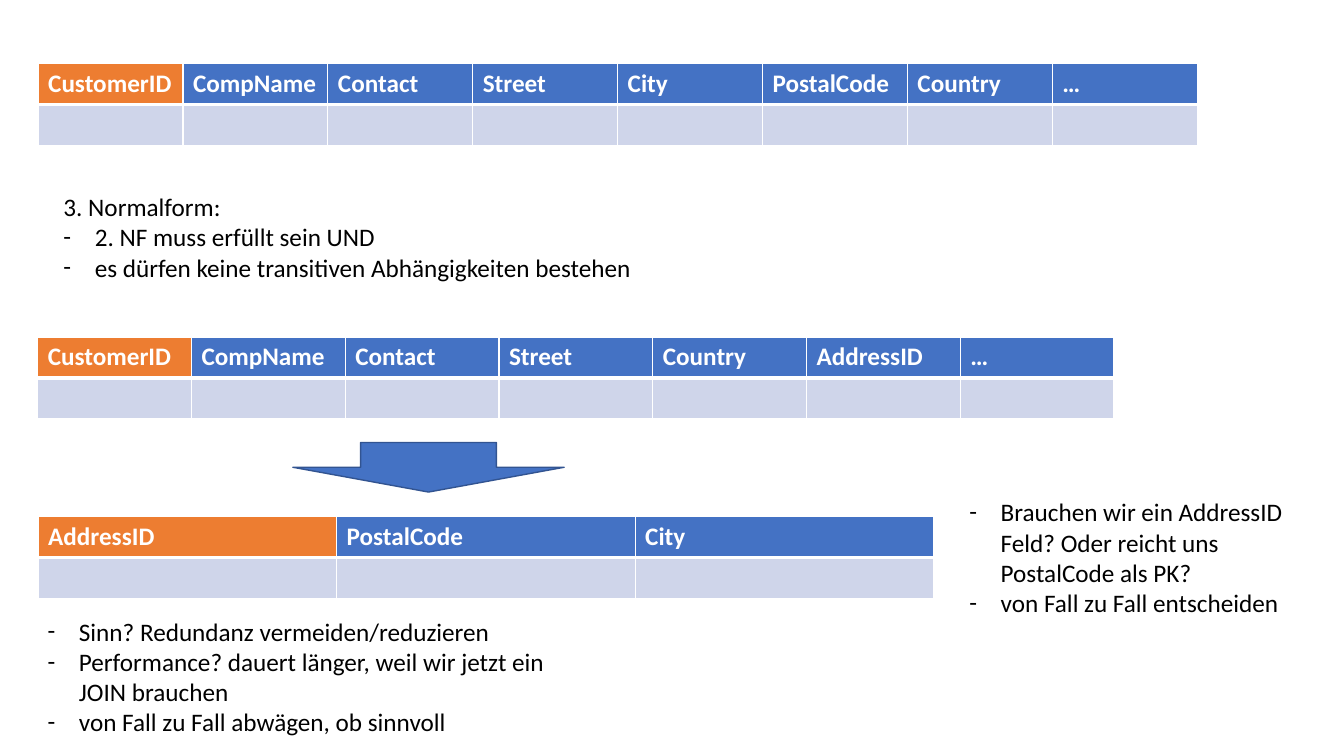
from dataclasses import dataclass

from lxml.etree import SubElement
from pptx import Presentation
from pptx.dml.color import RGBColor
from pptx.enum.shapes import MSO_SHAPE
from pptx.enum.text import MSO_AUTO_SIZE
from pptx.oxml import parse_xml
from pptx.oxml.ns import nsdecls, qn
from pptx.slide import Slide
from pptx.table import _Cell
from pptx.text.text import TextFrame
from pptx.util import Cm, Pt


@dataclass(frozen=True)
class Theme:
    font: str = "Calibri"
    size: int = 18
    text: str = "000000"
    header_text: str = "FFFFFF"
    key: str = "ED7D31"
    header: str = "4472C4"
    body: str = "CFD5EA"
    border: str = "FFFFFF"
    arrow_line: str = "325491"
    thin: int = 1
    thick: int = 3


@dataclass(frozen=True)
class Relation:
    """A database table; its first column is the primary key."""
    left: float
    top: float
    width: float
    columns: tuple[str, ...]


@dataclass(frozen=True)
class Note:
    left: float
    top: float
    width: float
    height: float
    points: tuple[str, ...]
    heading: str = ""


THEME = Theme()
ROW_HEIGHT = 1.03
BULLET_INDENT = 0.79

RELATIONS = (
    Relation(0.96, 1.6, 29.21, ("CustomerID", "CompName", "Contact", "Street",
                                "City", "PostalCode", "Country", "…")),
    Relation(0.95, 8.49, 27.13, ("CustomerID", "CompName", "Contact", "Street",
                                 "Country", "AddressID", "…")),
    Relation(0.96, 13.02, 22.57, ("AddressID", "PostalCode", "City")),
)

NOTES = (
    Note(1.35, 4.7, 15.6, 2.57,
         ("2. NF muss erfüllt sein UND",
          "es dürfen keine transitiven Abhängigkeiten bestehen"),
         heading="3. Normalform:"),
    Note(0.95, 15.4, 13.87, 3.33,
         ("Sinn? Redundanz vermeiden/reduzieren",
          "Performance? dauert länger, weil wir jetzt ein JOIN brauchen",
          "von Fall zu Fall abwägen, ob sinnvoll")),
    Note(24.18, 12.39, 8.74, 3.33,
         ("Brauchen wir ein AddressID Feld? Oder reicht uns PostalCode als PK?",
          "von Fall zu Fall entscheiden")),
)


def write(frame: TextFrame, text: str, *, color: str = THEME.text,
          bold: bool = False, bullet: bool = False) -> None:
    """Add one paragraph, using the empty first one if it is still free."""
    paragraph = frame.paragraphs[0] if not frame.text else frame.add_paragraph()
    run = paragraph.add_run()
    run.text = text
    run.font.name = THEME.font
    run.font.size = Pt(THEME.size)
    run.font.bold = bold
    run.font.color.rgb = RGBColor.from_string(color)
    if bullet:
        properties = paragraph._p.get_or_add_pPr()
        properties.set("marL", str(Cm(BULLET_INDENT)))
        properties.set("indent", str(-Cm(BULLET_INDENT)))
        SubElement(properties, qn("a:buFont")).set("typeface", THEME.font)
        SubElement(properties, qn("a:buChar")).set("char", "-")


def style_cell(cell: _Cell, fill: str, top: int, bottom: int) -> None:
    cell.fill.solid()
    cell.fill.fore_color.rgb = RGBColor.from_string(fill)
    # Borders come before the fill in the cell properties
    widths = {"lnL": THEME.thin, "lnR": THEME.thin, "lnT": top, "lnB": bottom}
    for position, (side, width) in enumerate(widths.items()):
        cell._tc.get_or_add_tcPr().insert(position, parse_xml(
            f'<a:{side} {nsdecls("a")} w="{Pt(width)}"><a:solidFill>'
            f'<a:srgbClr val="{THEME.border}"/></a:solidFill></a:{side}>'))


def draw_relation(slide: Slide, relation: Relation) -> None:
    count = len(relation.columns)
    table = slide.shapes.add_table(
        2, count, Cm(relation.left), Cm(relation.top),
        Cm(relation.width), Cm(2 * ROW_HEIGHT)).table
    for row in table.rows:
        row.height = Cm(ROW_HEIGHT)
    for index, name in enumerate(relation.columns):
        table.columns[index].width = Cm(relation.width / count)
        header, body = table.cell(0, index), table.cell(1, index)
        write(header.text_frame, name, color=THEME.header_text, bold=True)
        style_cell(header, THEME.header if index else THEME.key,
                   THEME.thin, THEME.thick)
        style_cell(body, THEME.body, THEME.thick, THEME.thin)


def draw_note(slide: Slide, note: Note) -> None:
    frame = slide.shapes.add_textbox(
        Cm(note.left), Cm(note.top), Cm(note.width), Cm(note.height)).text_frame
    frame.word_wrap = True
    frame.auto_size = MSO_AUTO_SIZE.SHAPE_TO_FIT_TEXT
    if note.heading:
        write(frame, note.heading)
    for point in note.points:
        write(frame, point, bullet=True)


def draw_split_arrow(slide: Slide) -> None:
    arrow = slide.shapes.add_shape(
        MSO_SHAPE.DOWN_ARROW, Cm(7.38), Cm(11.15), Cm(6.84), Cm(1.25))
    arrow.shadow.inherit = False
    arrow.fill.solid()
    arrow.fill.fore_color.rgb = RGBColor.from_string(THEME.header)
    arrow.line.color.rgb = RGBColor.from_string(THEME.arrow_line)
    arrow.line.width = Pt(THEME.thin)


def main() -> None:
    presentation = Presentation()
    presentation.slide_width, presentation.slide_height = Cm(33.87), Cm(19.05)
    slide = presentation.slides.add_slide(presentation.slide_layouts[6])

    # Relations before and after the third normal form
    for relation in RELATIONS:
        draw_relation(slide, relation)

    # Arrow from the customers to the split-off addresses
    draw_split_arrow(slide)

    # Rule, trade-offs and open question
    for note in NOTES:
        draw_note(slide, note)

    presentation.save("out.pptx")


if __name__ == "__main__":
    main()
